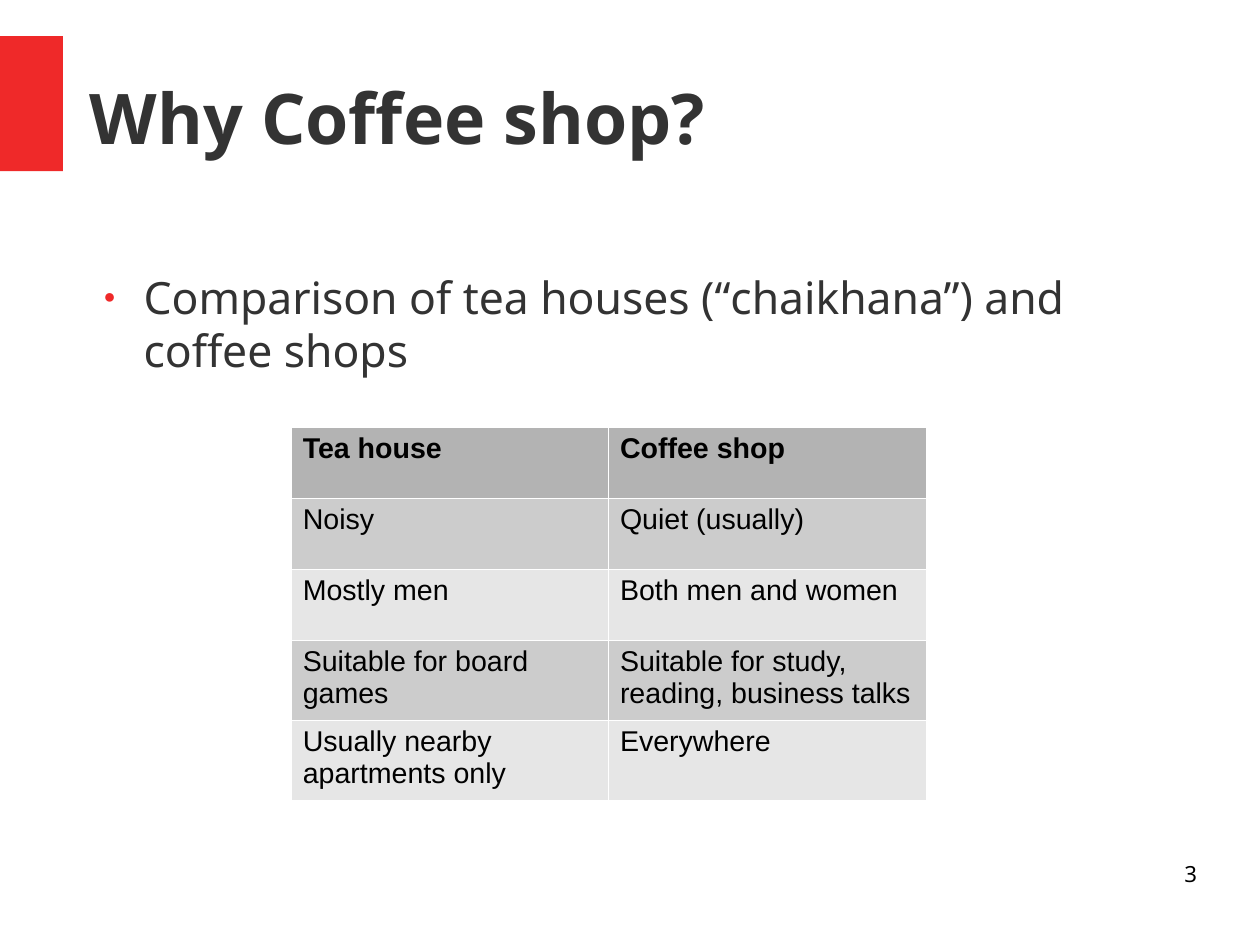
"""Build the slide that compares tea houses with coffee shops."""
from dataclasses import dataclass

from lxml.etree import SubElement
from pptx import Presentation
from pptx.dml.color import RGBColor
from pptx.enum.shapes import MSO_SHAPE
from pptx.enum.text import MSO_ANCHOR, PP_ALIGN
from pptx.oxml.ns import qn
from pptx.slide import Slide
from pptx.table import _Cell
from pptx.text.text import _Paragraph
from pptx.util import Cm, Emu, Inches, Pt

WIDE, HIGH = Cm(28), Cm(21)
HUES = {
    "red": "EF2929", "ink": "333333", "black": "000000", "white": "FFFFFF",
    "head": "B3B3B3", "dark": "CCCCCC", "light": "E6E6E6",
}
ROWS = [
    ("Tea house", "Coffee shop"),
    ("Noisy", "Quiet (usually)"),
    ("Mostly men", "Both men and women"),
    ("Suitable for board games", "Suitable for study, reading, business talks"),
    ("Usually nearby apartments only", "Everywhere"),
]
TALL = 7.5


@dataclass
class Area:
    """A box in percent of the slide's width and height."""
    left: float
    top: float
    width: float
    height: float

    def place(self) -> tuple[Emu, Emu, Emu, Emu]:
        """Return the box in slide units."""
        return (Emu(round(WIDE * self.left / 100)), Emu(round(HIGH * self.top / 100)),
                Emu(round(WIDE * self.width / 100)), Emu(round(HIGH * self.height / 100)))


@dataclass
class Label:
    """A piece of text and its look."""
    area: Area
    text: str
    size: float
    hue: str = "ink"
    bold: bool = False
    anchor: MSO_ANCHOR = MSO_ANCHOR.TOP
    align: PP_ALIGN = PP_ALIGN.LEFT


BAND = Area(0, 3.81, 5, 14.29)
GRID = Area(23.12, 45.22, 50.36, 38.57)
TITLE = Label(Area(7.14, 3.99, 87.84, 16.69), "Why Coffee shop?", 44,
              bold=True, anchor=MSO_ANCHOR.MIDDLE)
POINT = Label(Area(7.14, 28.54, 85.75, 58.04),
              "Comparison of tea houses (“сhaikhana”) and coffee shops", 28)
PAGE = Label(Area(71.69, 91.05, 23.32, 6.89), "3", 14, "black", align=PP_ALIGN.RIGHT)


def shade(name: str) -> RGBColor:
    """Look up a colour."""
    return RGBColor.from_string(HUES[name])


def style(para: _Paragraph, face: str, size: float, hue: str, bold: bool) -> None:
    """Format every run of a paragraph."""
    for run in para.runs:
        run.font.name, run.font.size, run.font.bold = face, Pt(size), bold
        run.font.color.rgb = shade(hue)


def write(slide: Slide, label: Label) -> _Paragraph:
    """Add a text box without margins and return its paragraph."""
    frame = slide.shapes.add_textbox(*label.area.place()).text_frame
    frame.word_wrap = True
    frame.margin_left = frame.margin_right = frame.margin_top = frame.margin_bottom = 0
    frame.vertical_anchor = label.anchor
    frame.text = label.text
    para = frame.paragraphs[0]
    para.alignment = label.align
    style(para, "Noto Sans", label.size, label.hue, label.bold)
    return para


def bullet(para: _Paragraph) -> None:
    """Give a paragraph a small red dot and a hanging indent."""
    props = para._p.get_or_add_pPr()
    props.set("marL", str(Inches(0.47)))
    props.set("indent", str(Inches(-0.35)))
    tint = SubElement(props, qn("a:buClr"))
    SubElement(tint, qn("a:srgbClr"), val=HUES["red"])
    SubElement(props, qn("a:buSzPct"), val="45000")
    SubElement(props, qn("a:buFont"), typeface="Arial")
    SubElement(props, qn("a:buChar"), char="●")
    para.space_after = Pt(14.1)


def edge(cell: _Cell) -> None:
    """Draw thin white lines around a cell."""
    props = cell._tc.get_or_add_tcPr()
    for spot, side in enumerate("LRTB"):
        line = props.makeelement(qn(f"a:ln{side}"), {"w": str(Pt(0.06))})
        fill = SubElement(line, qn("a:solidFill"))
        SubElement(fill, qn("a:srgbClr"), val=HUES["white"])
        props.insert(spot, line)


def compare(slide: Slide) -> None:
    """Add the table with a header and banded rows."""
    holder = slide.shapes.add_table(len(ROWS), len(ROWS[0]), *GRID.place())
    table = holder.table
    for row, texts in enumerate(ROWS):
        table.rows[row].height = Emu(round(HIGH * TALL / 100))
        hue = "head" if row == 0 else "dark" if row % 2 else "light"
        for col, text in enumerate(texts):
            cell = table.cell(row, col)
            cell.text_frame.text = text
            style(cell.text_frame.paragraphs[0], "Arial", 18, "black", row == 0)
            cell.fill.solid()
            cell.fill.fore_color.rgb = shade(hue)
            edge(cell)
    holder.height = GRID.place()[3]


def main() -> None:
    """Build and save the slide."""
    deck = Presentation()
    deck.slide_width, deck.slide_height = WIDE, HIGH
    deck.element.sldSz.attrib.pop("type", None)
    slide = deck.slides.add_slide(deck.slide_layouts[6])
    band = slide.shapes.add_shape(MSO_SHAPE.RECTANGLE, *BAND.place())
    band.shadow.inherit = False
    band.fill.solid()
    band.fill.fore_color.rgb = shade("red")
    band.line.fill.background()
    write(slide, TITLE)
    bullet(write(slide, POINT))
    compare(slide)
    write(slide, PAGE)
    deck.save("out.pptx")


if __name__ == "__main__":
    main()
